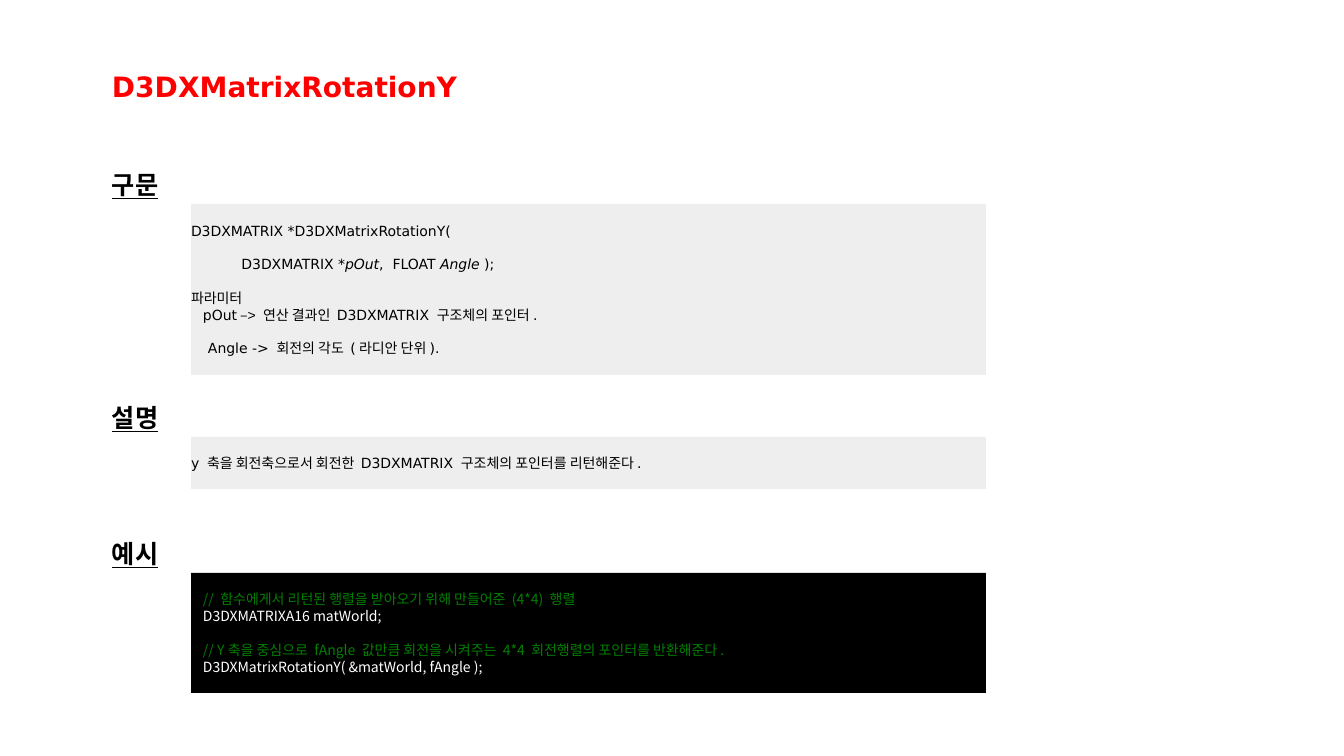
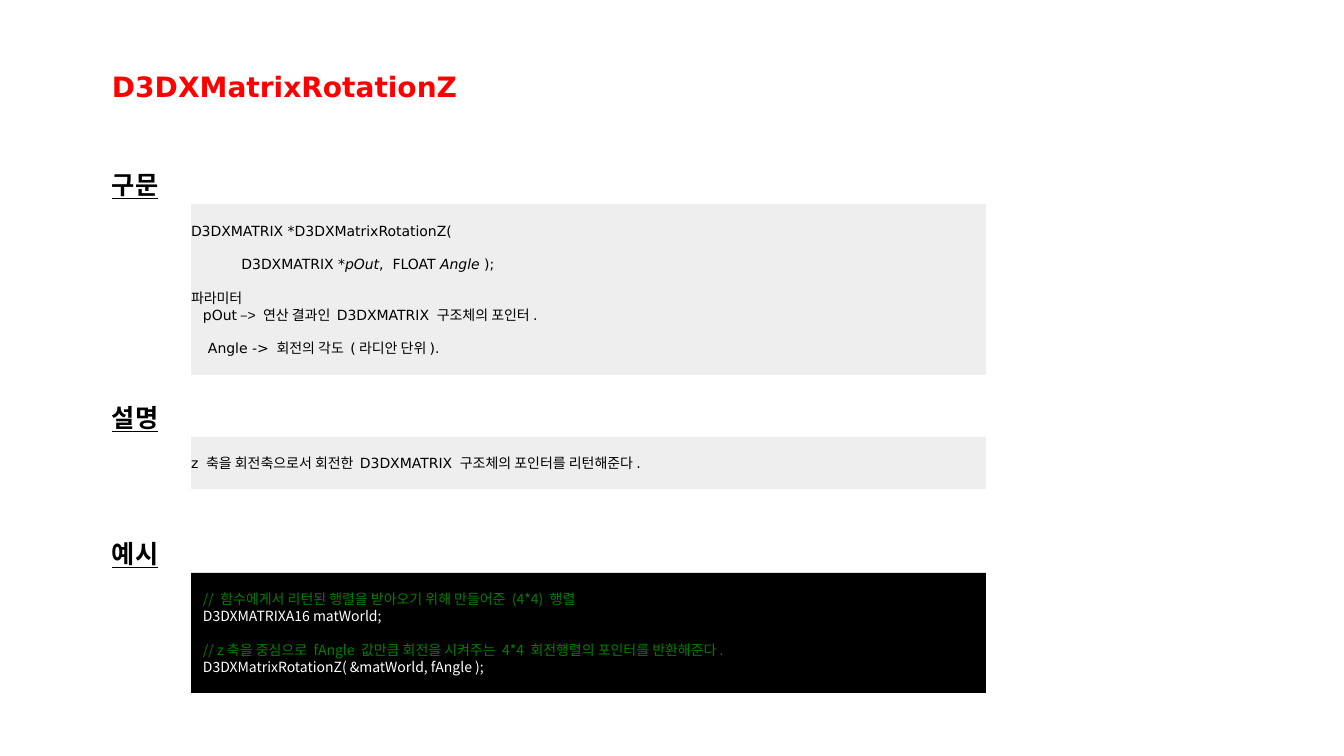
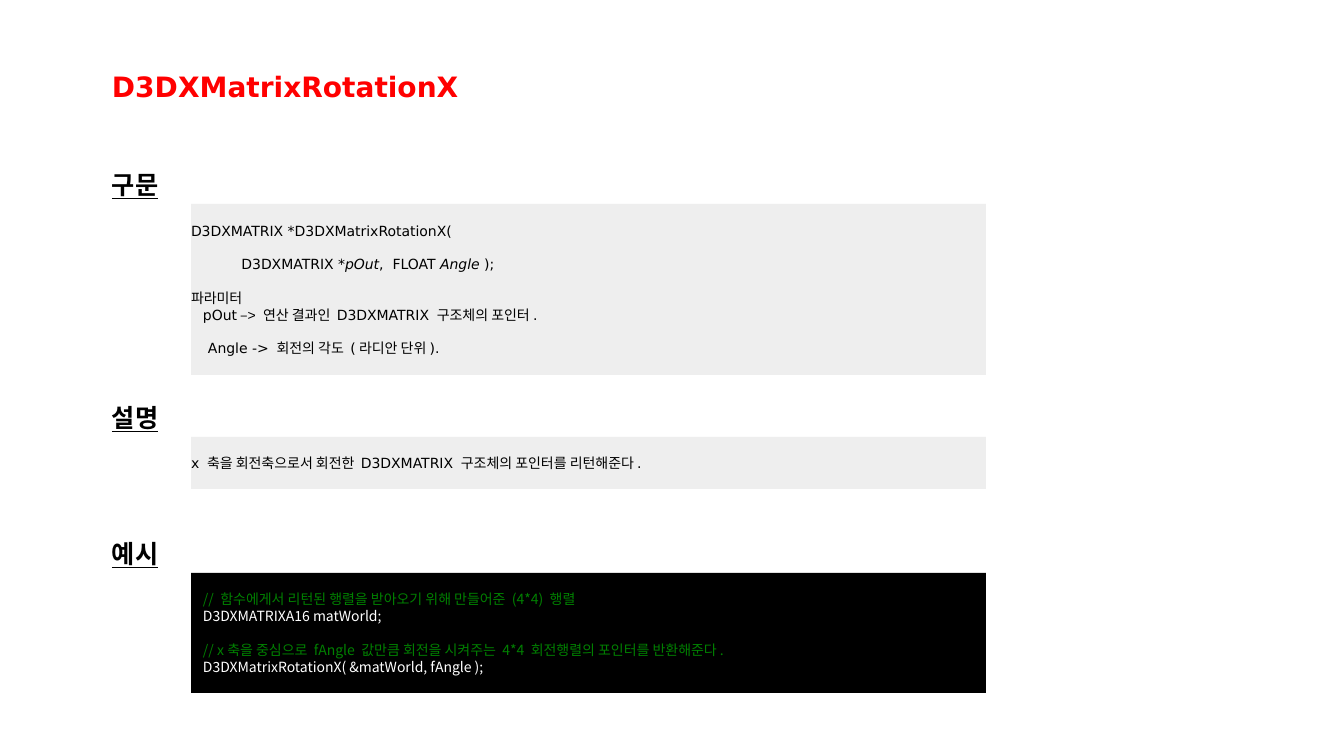
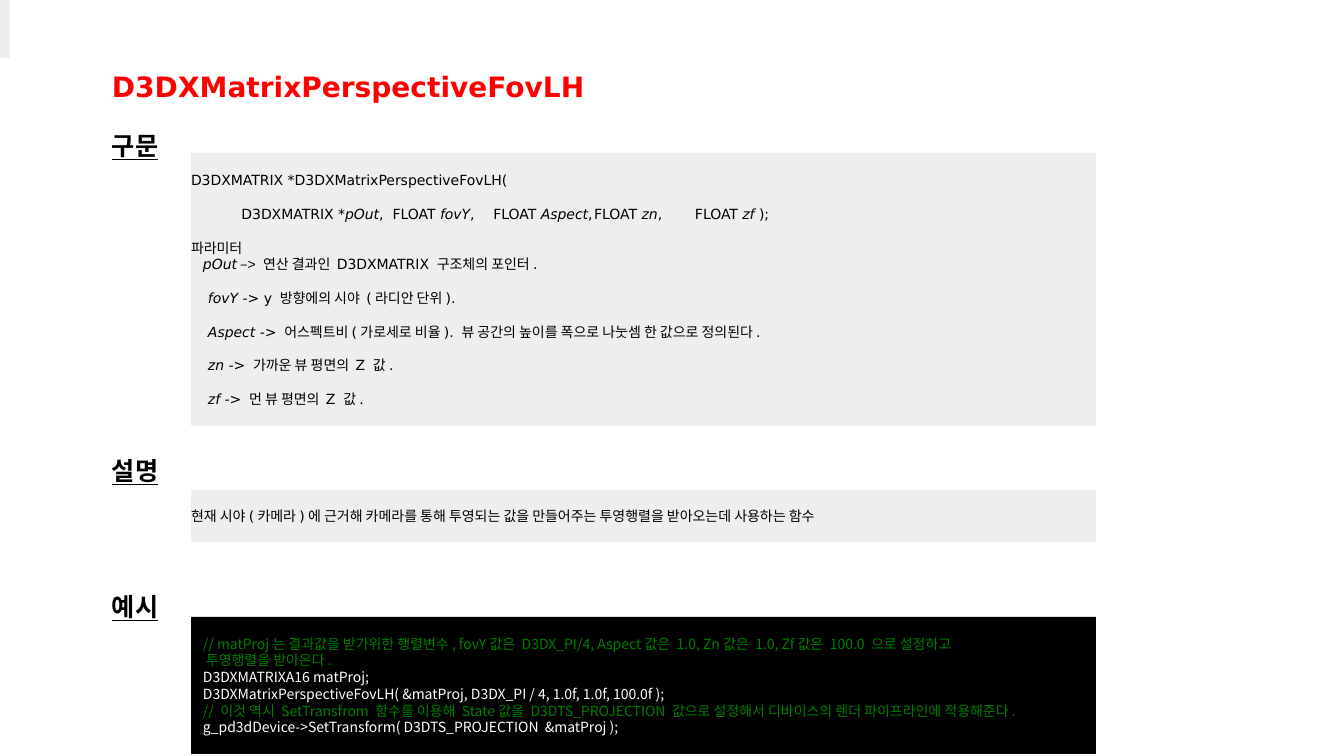
from lxml import etree
from pptx import Presentation
from pptx.dml.color import RGBColor
from pptx.enum.shapes import MSO_SHAPE
from pptx.enum.text import MSO_ANCHOR, MSO_AUTO_SIZE, PP_ALIGN
from pptx.oxml.ns import qn
from pptx.util import Emu, Pt

RECT = MSO_SHAPE.RECTANGLE
TOP, MIDDLE = MSO_ANCHOR.TOP, MSO_ANCHOR.MIDDLE
LEFT = PP_ALIGN.LEFT
NO_FIT = MSO_AUTO_SIZE.NONE

# Shared style
SLIDE_W, SLIDE_H = 1344, 756
SCALE = 12192000 / SLIDE_W
LATIN, KOREAN, SYMBOL = "DejaVu Sans", "Noto Sans CJK KR", "Arial"
RED, BLACK, WHITE, GREEN, GREY = "FF0000", "000000", "FFFFFF", "008000", "EEEEEE"
MARGIN, BOX_X = 102, 191
PARAM_INDENT, CODE_INDENT = 17, 12
SIGNATURE_TABS = (17, 182, 286, 407, 497)
HEADINGS = ("구문", "설명", "예시")


def px(n):
    return Emu(round(n * SCALE))


def rgb(colour):
    return RGBColor.from_string(colour)


def add_run(p, text, size=10, font=LATIN, colour=BLACK, bold=False,
            italic=False, underline=False):
    r = p.add_run()
    r.text = text
    f = r.font
    f.size, f.name = Pt(size), font
    f.bold, f.italic, f.underline = bold, italic, underline
    f.color.rgb = rgb(colour)
    ea = etree.SubElement(r._r.get_or_add_rPr(), qn("a:ea"))
    ea.set("typeface", KOREAN)


def line(*runs, indent=0, gap=False, tabs=(), **fmt):
    """Describe a paragraph; a run is a text or a (text, format) pair."""
    pairs = [(r, {}) if isinstance(r, str) else r for r in runs]
    return [(text, {**fmt, **own}) for text, own in pairs], indent, gap, tabs


def italic(text):
    return text, {"italic": True}


class Deck:
    def __init__(self):
        self.prs = Presentation()
        self.prs.slide_width, self.prs.slide_height = px(SLIDE_W), px(SLIDE_H)
        self.slide = None

    def frame(self, sp, insets, anchor, wrap):
        tf = sp.text_frame
        tf.auto_size, tf.word_wrap, tf.vertical_anchor = NO_FIT, wrap, anchor
        (tf.margin_left, tf.margin_top,
         tf.margin_right, tf.margin_bottom) = map(px, insets)
        return tf

    def label(self, sp, y, w, h, text, **fmt):
        sp.left, sp.top, sp.width, sp.height = map(px, (MARGIN, y, w, h))
        p = self.frame(sp, (10, 5, 10, 5), TOP, False).paragraphs[0]
        p.alignment = LEFT
        p.line_spacing = Pt(round(fmt["size"] * 1.22))
        add_run(p, text, bold=True, **fmt)

    def new_slide(self, title):
        self.slide = self.prs.slides.add_slide(self.prs.slide_layouts[5])
        self.label(self.slide.shapes.title, 64, 500, 44, title,
                   size=20, colour=RED)

    def heading(self, y, text):
        sp = self.slide.shapes.add_textbox(0, 0, 0, 0)
        self.label(sp, y, 72, 40, text, size=18, font=KOREAN, underline=True)

    def rect(self, x, y, w, h, fill):
        sp = self.slide.shapes.add_shape(RECT, *map(px, (x, y, w, h)))
        sp.shadow.inherit = False
        sp.fill.solid()
        sp.fill.fore_color.rgb = rgb(fill)
        sp.line.fill.background()
        return sp

    def box(self, y, w, h, fill, lines):
        sp = self.rect(BOX_X, y, w, h, fill)
        tf = self.frame(sp, (0, 17, 10, 17), MIDDLE, True)
        for i, (runs, indent, gap, tabs) in enumerate(lines):
            p = tf.add_paragraph() if i else tf.paragraphs[0]
            p.alignment, p.line_spacing = LEFT, Pt(12)
            p.space_before = Pt(12 if gap else 0)
            pPr = p._p.get_or_add_pPr()
            pPr.set("marL", str(px(indent)))
            pPr.set("indent", "0")
            if tabs:
                tab_list = etree.SubElement(pPr, qn("a:tabLst"))
                for pos in tabs:
                    etree.SubElement(tab_list, qn("a:tab"),
                                     pos=str(px(pos)), algn="l")
            for text, fmt in runs:
                add_run(p, text, **fmt)

    def sections(self, width, heading_tops, boxes):
        for y, text in zip(heading_tops, HEADINGS):
            self.heading(y, text)
        for (y, h, lines), fill in zip(boxes, (GREY, GREY, BLACK)):
            self.box(y, width, h, fill, lines)


# Paragraphs common to the function pages
def signature(name, floats):
    runs = ["\tD3DXMATRIX *", italic("pOut")]
    for arg in floats:
        runs += [",\tFLOAT ", italic(arg)]
    return [line(f"D3DXMATRIX *{name}("),
            line(*runs, " );", gap=True, tabs=SIGNATURE_TABS),
            line("파라미터", gap=True)]


def out_param(slanted):
    return line(("pOut", {"italic": slanted}), (" –", {"font": KOREAN}),
                ("> ", {"font": SYMBOL}),
                "연산 결과인 D3DXMATRIX 구조체의 포인터.", indent=CODE_INDENT)


def param(*runs):
    return line(*runs, indent=PARAM_INDENT, gap=True)


def code(text, colour=WHITE, **fmt):
    return line(text, **{"indent": CODE_INDENT, "font": KOREAN,
                         "colour": colour, **fmt})


def rotation_slide(deck, axis, comment_axis):
    name = f"D3DXMatrixRotation{axis}"
    deck.new_slide(name)
    syntax = signature(name, ["Angle"]) + [
        out_param(False), param("Angle -> 회전의 각도 (라디안 단위).")]
    about = [line(f"{axis.lower()} 축을 회전축으로서 회전한 D3DXMATRIX "
                  "구조체의 포인터를 리턴해준다.")]
    example = [
        code("// 함수에게서 리턴된 행렬을 받아오기 위해 만들어준 (4*4) 행렬", GREEN),
        code("D3DXMATRIXA16 matWorld;"),
        code(f"// {comment_axis}축을 중심으로 fAngle 값만큼 회전을 시켜주는 "
             "4*4 회전행렬의 포인터를 반환해준다.", GREEN, gap=True),
        code(f"{name}( &matWorld, fAngle );")]
    deck.sections(795, (164, 397, 533),
                  [(204, 171, syntax), (437, 52, about), (573, 120, example)])


def perspective_slide(deck):
    name = "D3DXMatrixPerspectiveFovLH"
    deck.new_slide(name)
    deck.rect(0, 0, 10, 58, GREY)
    syntax = signature(name, ["fovY", "Aspect", "zn", "zf"]) + [
        out_param(True),
        param(italic("fovY"), " -> y 방향에의 시야 (라디안 단위)."),
        param(italic("Aspect -> "), "어스펙트비(가로세로 비율). 뷰 공간의 높이를 "
              "폭으로 나눗셈 한 값으로 정의된다."),
        param(italic("zn -> "), "가까운 뷰 평면의 Z 값."),
        param(italic("zf -> "), "먼 뷰 평면의 Z 값.")]
    about = [line("현재 시야(카메라)에 근거해 카메라를 통해 투영되는 값을 "
                  "만들어주는 투영행렬을 받아오는데 사용하는 함수")]
    example = [
        code("// matProj는 결과값을 받가위한 행렬변수, fovY값은 D3DX_PI/4, "
             "Aspect값은 1.0, Zn값은 1.0, Zf값은 100.0 으로 설정하고", GREEN),
        code("투영행렬을 받아온다.", GREEN, indent=15),
        code("D3DXMATRIXA16 matProj;"),
        code(f"{name}( &matProj, D3DX_PI / 4, 1.0f, 1.0f, 100.0f );"),
        code("// 이것 역시 SetTransfrom 함수를 이용해 State값을 D3DTS_PROJECTION "
             "값으로 설정해서 디바이스의 렌더 파이프라인에 적용해준다.", GREEN),
        code("g_pd3dDevice->SetTransform( D3DTS_PROJECTION  &matProj );")]
    deck.sections(905, (125, 450, 586),
                  [(153, 273, syntax), (490, 52, about), (617, 137, example)])


def main():
    deck = Deck()
    for axis, comment_axis in (("Y", "Y"), ("Z", "z"), ("X", "x")):
        rotation_slide(deck, axis, comment_axis)
    perspective_slide(deck)
    deck.prs.save("out.pptx")


if __name__ == "__main__":
    main()
